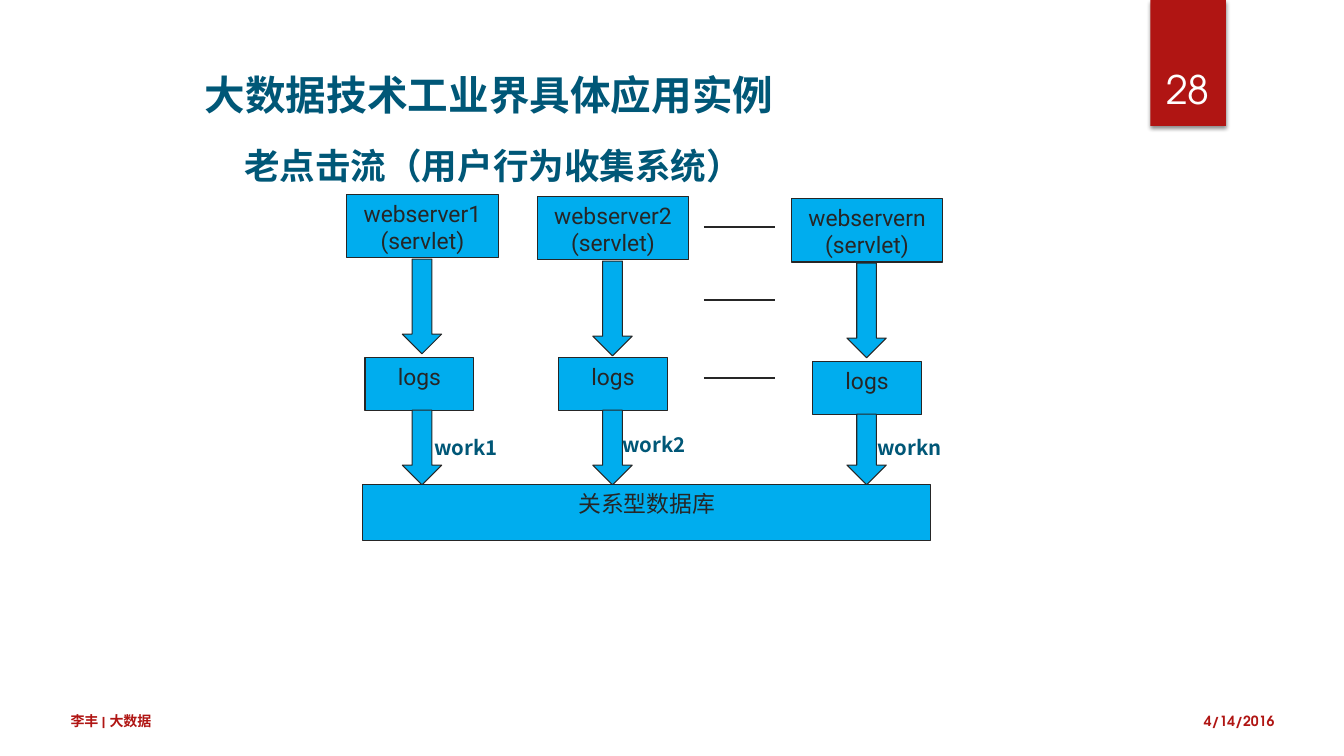
import pptx
import pptx.dml.color
import pptx.enum.shapes
import pptx.enum.text
import pptx.oxml
import pptx.oxml.ns
import pptx.util

PX = 9144  # 100 px to the inch
COLORS = {"ribbon": "B01513", "box": "00ADEE", "ink": "262626",
          "heading": "005777", "white": "FFFFFF", "shadow": "000000"}
CJK, ROBOTO, ADVENTOR = "Noto Sans CJK SC", "Roboto", "TeX Gyre Adventor"
SHAPE = pptx.enum.shapes.MSO_SHAPE
ALIGN = pptx.enum.text.PP_ALIGN
ANCHOR = pptx.enum.text.MSO_ANCHOR


def emu(*lengths):
    return [pptx.util.Emu(n * PX) for n in lengths]


def rgb(name):
    return pptx.dml.color.RGBColor.from_string(COLORS[name])


def add_effects(sp, xml=""):
    ns = pptx.oxml.ns.nsdecls("a")
    sp._element.spPr.append(pptx.oxml.parse_xml(
        f"<a:effectLst {ns}>{xml}</a:effectLst>"))


def write(sp, lines, size, font, color, bold=False,
          align=ALIGN.LEFT, anchor=ANCHOR.MIDDLE):
    tf = sp.text_frame
    tf.word_wrap = True
    tf.auto_size = pptx.enum.text.MSO_AUTO_SIZE.NONE
    tf.vertical_anchor = anchor
    tf.margin_left, tf.margin_right, tf.margin_top, tf.margin_bottom = emu(9, 9, 5, 5)
    p = tf.paragraphs[0]
    p.alignment = align
    for i, line in enumerate(lines):
        if i:
            p.add_line_break()
        r = p.add_run()
        r.text = line
        r.font.size = pptx.util.Pt(size)
        r.font.name = font
        r.font.bold = bold
        r.font.color.rgb = rgb(color)
        ea = r._r.get_or_add_rPr().makeelement(pptx.oxml.ns.qn("a:ea"), {"typeface": CJK})
        r._r.rPr.append(ea)


def add_label(s, box, text, size, font, color, bold=True, **layout):
    sp = s.shapes.add_textbox(*emu(*box))
    write(sp, [text], size, font, color, bold, **layout)


def add_node(s, kind, box, lines=()):
    sp = s.shapes.add_shape(kind, *emu(*box))
    sp.shadow.inherit = False
    sp.fill.solid()
    sp.fill.fore_color.rgb = rgb("box")
    sp.line.color.rgb = rgb("ink")
    sp.line.width = pptx.util.Pt(0.75)
    if lines:
        write(sp, lines, 16.3, ROBOTO, "ink", align=ALIGN.CENTER, anchor=ANCHOR.TOP)


def add_ribbon(s, x, y, w, h):
    sp = s.shapes.add_shape(SHAPE.RECTANGLE, *emu(x, y, w, h))
    sp.fill.solid()
    sp.fill.fore_color.rgb = rgb("ribbon")
    sp.line.fill.background()
    add_effects(sp, '<a:outerShdw blurRad="38100" dist="25400" dir="5400000">'
                    f'<a:srgbClr val="{COLORS["shadow"]}"><a:alpha val="45000"/>'
                    '</a:srgbClr></a:outerShdw>')
    add_label(s, (x - 9, y + 32, w + 17, 84), "28", 28, ADVENTOR, "white", False,
              align=ALIGN.CENTER, anchor=ANCHOR.BOTTOM)


def add_headings(s, x, y, w, h):
    title = s.shapes.title
    title.left, title.top, title.width, title.height = emu(x, y, w, h)
    write(title, ["大数据技术工业界具体应用实例"], 29, CJK, "heading", True)
    add_label(s, (x + 39, y + 70, w, h), "老点击流（用户行为收集系统）", 25.4, CJK, "heading")


def add_footer(s, x, y, w, h):
    add_label(s, (x, y, 423, h), "李丰 | 大数据", 10, ADVENTOR, "ribbon")
    add_label(s, (x + w - 108, y, 108, h), "4/14/2016", 10, ADVENTOR, "ribbon",
              align=ALIGN.RIGHT)


def add_pipeline(s, x, y, base, suffix, logs, work):
    """One server, its logs and its worker; logs and work are offsets from (x, y)."""
    middle = x + 75
    logs_x, logs_y = x + logs[0], y + logs[1]
    add_node(s, SHAPE.RECTANGLE, (x, y, 150, 63), [f"webserver{suffix}", "(servlet)"])
    add_node(s, SHAPE.DOWN_ARROW, (middle - 20, y + 64, 39, 94))
    add_node(s, SHAPE.RECTANGLE, (logs_x, logs_y, 108, 52), ["logs"])
    add_node(s, SHAPE.DOWN_ARROW, (middle - 20, logs_y + 52, 39, base - logs_y - 52))
    add_label(s, (x + work[0], y + work[1], 94, 39), f"work{suffix}", 14.5, CJK, "heading")


def add_diagram(s, x, y, w, h):
    base = y + h - 55
    for dx, dy, suffix, logs, work in [
            (0, 0, "1", (18, 162), (78, 231)),
            (189, 2, "2", (21, 160), (75, 226)),
            (441, 4, "n", (21, 162), (76, 227))]:
        add_pipeline(s, x + dx, y + dy, base, suffix, logs, work)
    # Dashes standing for the servers in between
    for dy in (32, 105, 182):
        line = s.shapes.add_connector(
            pptx.enum.shapes.MSO_CONNECTOR.STRAIGHT,
            *emu(x + 354, y + dy, x + 425, y + dy))
        line.line.color.rgb = rgb("ink")
        line.line.width = pptx.util.Pt(1.5)
        add_effects(line)
    # Shared database
    add_node(s, SHAPE.RECTANGLE, (x + 16, base, w - 28, 55), ["关系型数据库"])


def main():
    prs = pptx.Presentation()
    prs.slide_width, prs.slide_height = emu(1333, 750)
    s = prs.slides.add_slide(prs.slide_layouts[5])
    add_ribbon(s, 1141, 0, 75, 125)
    add_footer(s, 61, 699, 1212, 33)
    add_headings(s, 194, 62, 795, 63)
    add_diagram(s, 344, 193, 591, 343)
    prs.save("out.pptx")


if __name__ == "__main__":
    main()
